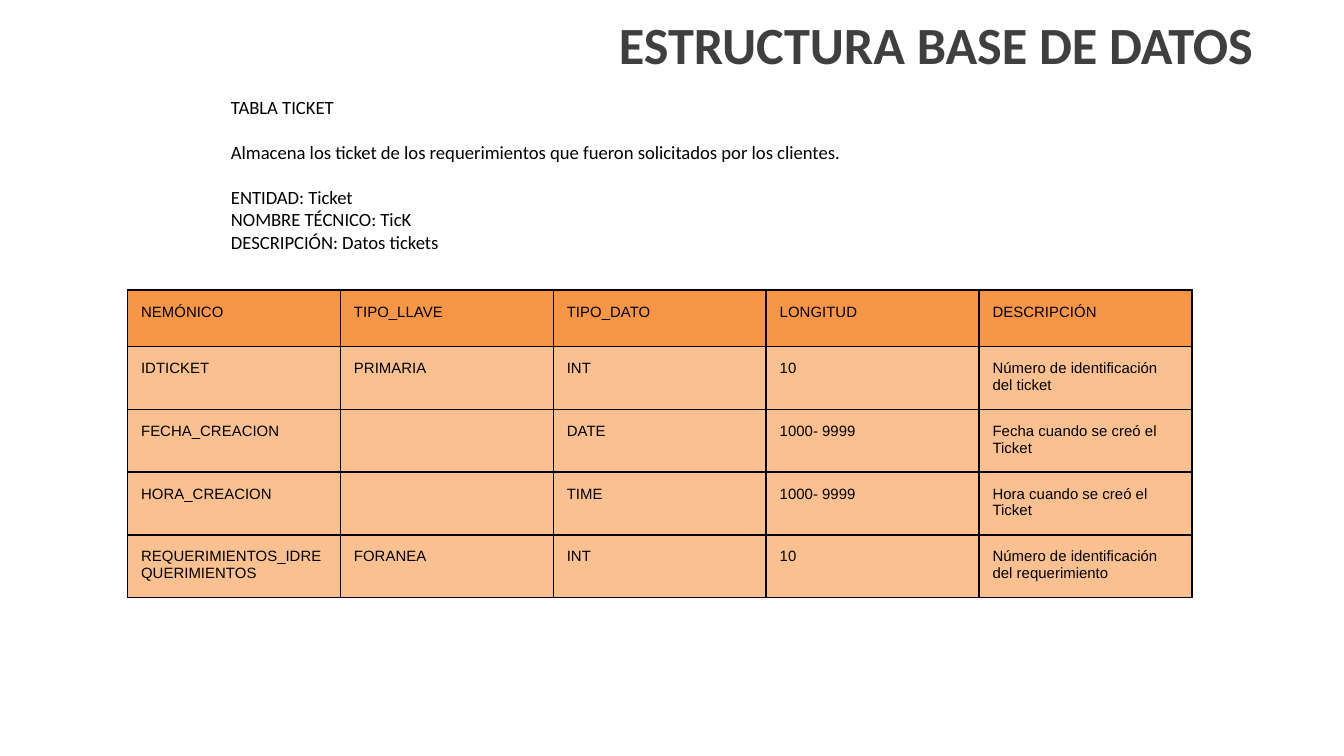
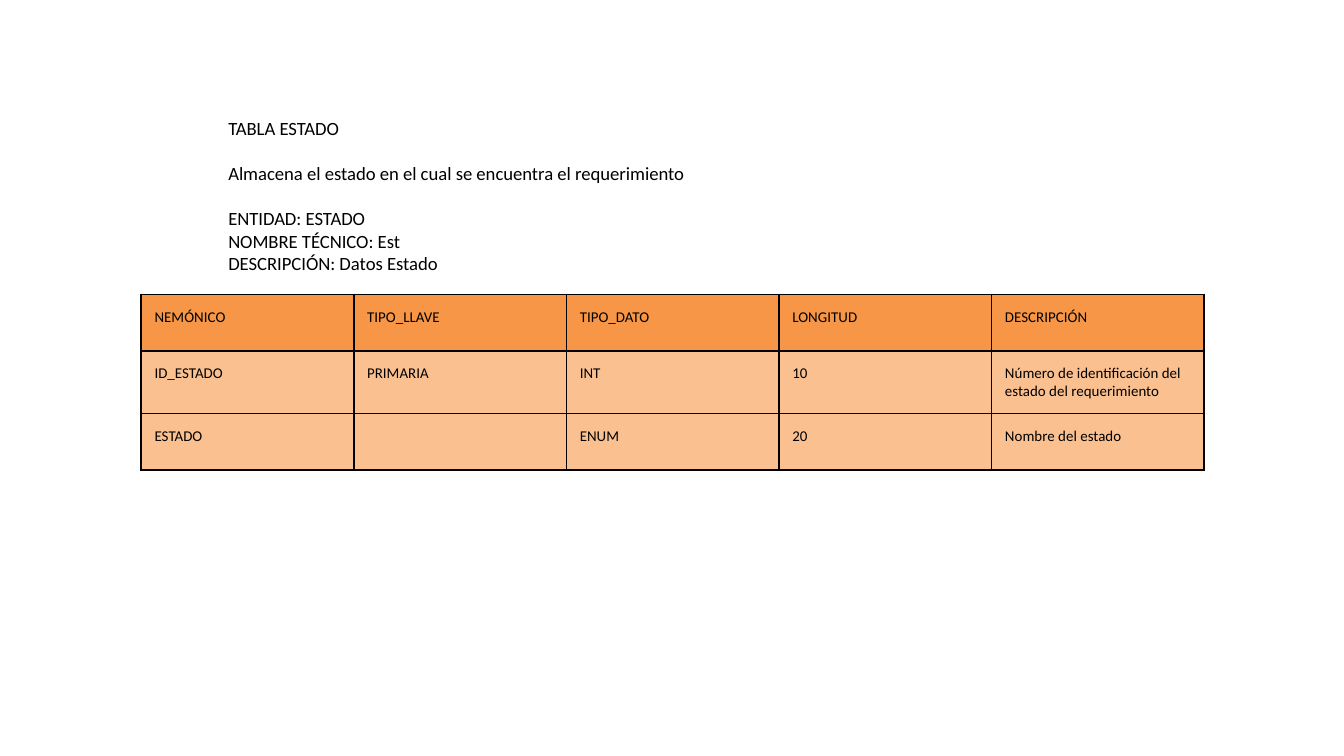
from lxml import etree
from pptx import Presentation
from pptx import util as u
from pptx.dml.color import RGBColor
from pptx.enum import text
from pptx.oxml.ns import qn

COLORS = {
    "title": "3F3F3F",
    "ink": "000000",
    "header": "F79646",
    "body": "FAC090",
    "background": "FFFFFF",
}
ROW_HEIGHT = 0.42
CELL_SIZE = 8
HEADERS = ["NEMÓNICO", "TIPO_LLAVE", "TIPO_DATO", "LONGITUD", "DESCRIPCIÓN"]

TICKET_INTRO = [
    "TABLA TICKET",
    "Almacena los ticket de los requerimientos que fueron solicitados por los clientes.",
    "ENTIDAD: Ticket",
    "NOMBRE TÉCNICO: TicK",
    "DESCRIPCIÓN: Datos tickets",
]
TICKET_ROWS = [
    ["IDTICKET", "PRIMARIA", "INT", "10", "Número de identificación del ticket"],
    ["FECHA_CREACION", "", "DATE", "1000- 9999", "Fecha cuando se creó el Ticket"],
    ["HORA_CREACION", "", "TIME", "1000- 9999", "Hora cuando se creó el Ticket"],
    ["REQUERIMIENTOS_IDREQUERIMIENTOS", "FORANEA", "INT", "10",
     "Número de identificación del requerimiento"],
]
ESTADO_INTRO = [
    "TABLA ESTADO",
    "Almacena el estado en el cual se encuentra el requerimiento",
    "ENTIDAD: ESTADO",
    "NOMBRE TÉCNICO: Est",
    "DESCRIPCIÓN: Datos Estado",
]
ESTADO_ROWS = [
    ["ID_ESTADO", "PRIMARIA", "INT", "10",
     "Número de identificación del estado del requerimiento"],
    ["ESTADO", "", "ENUM", "20", "Nombre del estado"],
]


def color(name):
    return RGBColor.from_string(COLORS[name])


def style_runs(paragraph, size, font="Calibri", ink="ink", bold=False):
    for run in paragraph.runs:
        run.font.size = u.Pt(size)
        run.font.name = font
        run.font.bold = bold
        run.font.color.rgb = color(ink)


def add_slide(presentation):
    slide = presentation.slides.add_slide(presentation.slide_layouts[6])
    slide.background.fill.solid()
    slide.background.fill.fore_color.rgb = color("background")
    return slide


def add_text_frame(slide, left, top, width, height, inset):
    """Add a wrapping text box with equal vertical insets."""
    box = slide.shapes.add_textbox(*map(u.Inches, (left, top, width, height)))
    frame = box.text_frame
    frame.word_wrap = True
    frame.auto_size = text.MSO_AUTO_SIZE.SHAPE_TO_FIT_TEXT
    frame.margin_left = frame.margin_right = u.Inches(0.1)
    frame.margin_top = frame.margin_bottom = u.Inches(inset)
    return frame


def add_title(slide, title):
    frame = add_text_frame(slide, 4.38, 0.04, 5.04, 0.57, 0.05)
    frame.text = title
    paragraph = frame.paragraphs[0]
    paragraph.alignment = text.PP_ALIGN.RIGHT
    style_runs(paragraph, 28, ink="title", bold=True)


def add_intro(slide, left, top, lines):
    """Describe a database table: name, purpose, then its attributes."""
    frame = add_text_frame(slide, left, top, 7.25, 1.55, 0.1)
    frame.text = "\n".join(lines)
    for index, paragraph in enumerate(frame.paragraphs):
        if index in (1, 2):
            paragraph.space_before = u.Pt(12.2)
        style_runs(paragraph, 10)


def add_borders(cell):
    properties = cell._tc.get_or_add_tcPr()
    for position, side in enumerate(("a:lnL", "a:lnR", "a:lnT", "a:lnB")):
        line = etree.Element(qn(side), w=str(u.Pt(1)))
        fill = etree.SubElement(line, qn("a:solidFill"))
        etree.SubElement(fill, qn("a:srgbClr"), val=COLORS["ink"])
        properties.insert(position, line)


def fill_cell(cell, value, fill, font):
    cell.fill.solid()
    cell.fill.fore_color.rgb = color(fill)
    cell.margin_left = cell.margin_right = u.Inches(0.1)
    cell.margin_top = cell.margin_bottom = u.Inches(0.1)
    add_borders(cell)
    paragraph = cell.text_frame.paragraphs[0]
    if value:
        paragraph.text = value
        style_runs(paragraph, CELL_SIZE, font)
    else:
        # Keep an empty cell from stretching its row
        etree.SubElement(paragraph._p, qn("a:endParaRPr"), sz=str(CELL_SIZE * 100))


def add_field_table(slide, left, top, width, rows, font):
    records = [HEADERS] + rows
    shape = slide.shapes.add_table(
        len(records), len(HEADERS), u.Inches(left), u.Inches(top),
        u.Inches(width), u.Inches(ROW_HEIGHT * len(records)))
    table = shape.table
    for column in table.columns:
        column.width = u.Inches(width / len(HEADERS))
    for row_index, record in enumerate(records):
        table.rows[row_index].height = u.Inches(ROW_HEIGHT)
        fill = "body" if row_index else "header"
        for column_index, value in enumerate(record):
            fill_cell(table.cell(row_index, column_index), value, fill, font)


def main():
    # Widescreen page, 16:9
    presentation = Presentation()
    presentation.slide_width = u.Inches(10)
    presentation.slide_height = u.Inches(10 * 9 / 16)

    # Ticket table
    slide = add_slide(presentation)
    add_title(slide, "ESTRUCTURA BASE DE DATOS")
    add_intro(slide, 1.62, 0.61, TICKET_INTRO)
    add_field_table(slide, 0.95, 2.16, 7.92, TICKET_ROWS, "Arial")

    # Status table
    slide = add_slide(presentation)
    add_intro(slide, 1.6, 0.77, ESTADO_INTRO)
    add_field_table(slide, 1.05, 2.19, 7.91, ESTADO_ROWS, "Calibri")

    presentation.save("out.pptx")


if __name__ == "__main__":
    main()
